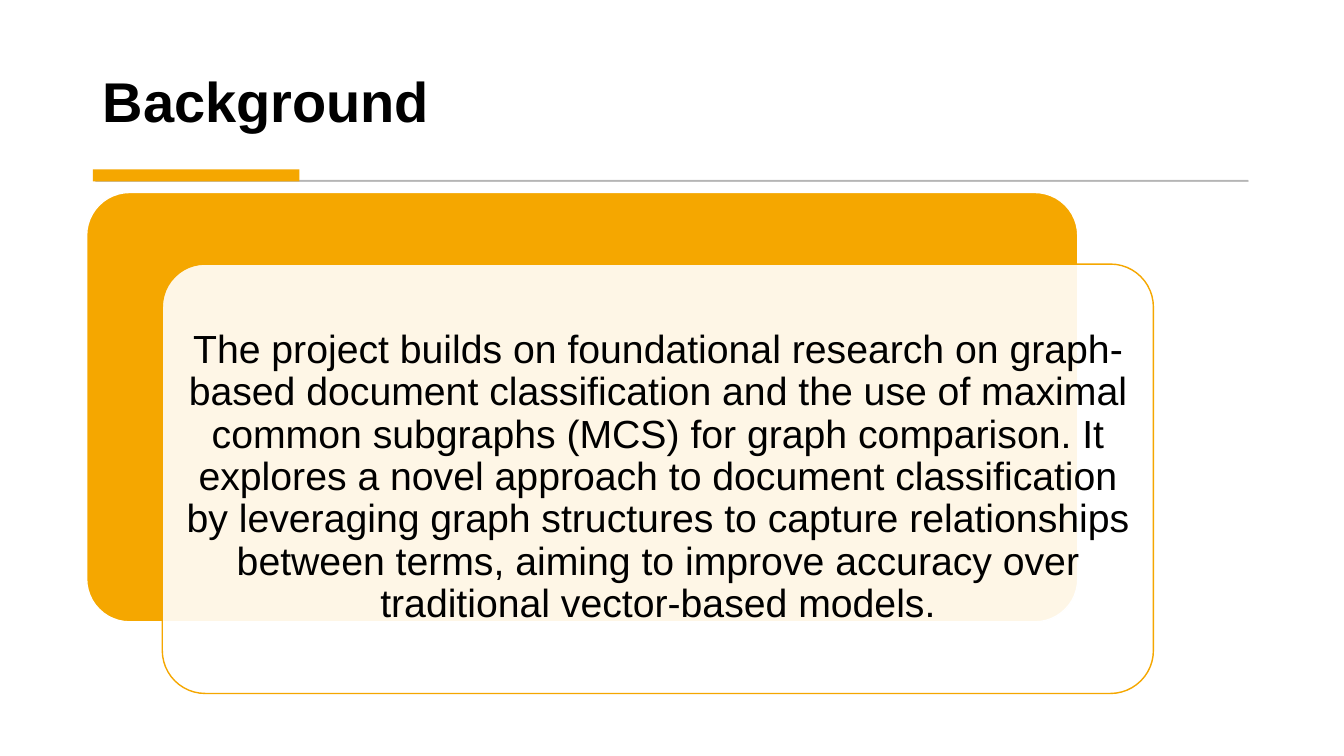
"""Build the Background slide: a title over a rule and a framed statement on an orange panel."""
from lxml.etree import SubElement
from pptx import Presentation
from pptx.dml.color import RGBColor
from pptx.enum.shapes import MSO_SHAPE
from pptx.enum.text import MSO_ANCHOR, PP_ALIGN
from pptx.oxml.ns import qn
from pptx.util import Pt

TITLE = "Background"
STATEMENT = (
    "The project builds on foundational research on graph-based document "
    "classification and the use of maximal common subgraphs (MCS) for graph "
    "comparison. It explores a novel approach to document classification by "
    "leveraging graph structures to capture relationships between terms, aiming "
    "to improve accuracy over traditional vector-based models."
)

FONT = "Arial"
BLACK = RGBColor(0x00, 0x00, 0x00)
WHITE = RGBColor(0xFF, 0xFF, 0xFF)
GREY = RGBColor(0x59, 0x59, 0x59)
ORANGE = RGBColor(0xF5, 0xA7, 0x00)

PX = 9144
SLIDE_W, SLIDE_H = 1333, 750
TITLE_BOX = (92, 27, 1149, 111)
RULE = (95, 179, 1143, 1)
ACCENT = (92, 168, 205, 12)
PANEL = (86, 191, 983, 426)
CARD_SHIFT = (75, 71)
CARD_INSET = 10
CARD_INSET_BOTTOM = 12


def scaled(box):
    return [v * PX for v in box]


def set_alpha(fill_or_line, percent):
    color = fill_or_line.find(".//" + qn("a:srgbClr"))
    SubElement(color, qn("a:alpha"), val=str(percent * 1000))


def add_block(slide, kind, box, fill, line=None, width=1, alpha=None):
    sp = slide.shapes.add_shape(kind, *scaled(box))
    sp.shadow.inherit = False
    sp.fill.solid()
    sp.fill.fore_color.rgb = fill
    if alpha:
        set_alpha(sp.element.spPr.find(qn("a:solidFill")), alpha)
    if line is None:
        sp.line.fill.background()
    else:
        sp.line.color.rgb = line
        sp.line.width = Pt(width)
    if kind == MSO_SHAPE.ROUNDED_RECTANGLE:
        sp.adjustments[0] = 0.1
    return sp


def write(tf, text, size, anchor, align, bold=False):
    tf.word_wrap = True
    tf.vertical_anchor = anchor
    tf.text = text
    p = tf.paragraphs[0]
    p.alignment = align
    p.line_spacing = 0.9
    font = p.runs[0].font
    font.name, font.size, font.bold = FONT, Pt(size), bold
    font.color.rgb = BLACK


def main():
    prs = Presentation()
    prs.slide_width, prs.slide_height = scaled((SLIDE_W, SLIDE_H))
    s = prs.slides.add_slide(prs.slide_layouts[6])

    title = s.shapes.add_textbox(*scaled(TITLE_BOX))
    write(title.text_frame, TITLE, 40, MSO_ANCHOR.BOTTOM, PP_ALIGN.LEFT, bold=True)

    rule = add_block(s, MSO_SHAPE.RECTANGLE, RULE, GREY, GREY, 0.75, alpha=30)
    set_alpha(rule.element.spPr.find(qn("a:ln")), 30)
    add_block(s, MSO_SHAPE.RECTANGLE, ACCENT, ORANGE)

    x, y, w, h = PANEL
    dx, dy = CARD_SHIFT
    add_block(s, MSO_SHAPE.ROUNDED_RECTANGLE, PANEL, ORANGE, WHITE)
    card = add_block(s, MSO_SHAPE.ROUNDED_RECTANGLE, (x + dx, y + dy, w, h),
                     WHITE, ORANGE, alpha=90)
    tf = card.text_frame
    tf.margin_left = tf.margin_right = tf.margin_top = CARD_INSET * PX
    tf.margin_bottom = CARD_INSET_BOTTOM * PX
    write(tf, STATEMENT, 28, MSO_ANCHOR.MIDDLE, PP_ALIGN.CENTER)

    prs.save("out.pptx")


if __name__ == "__main__":
    main()
